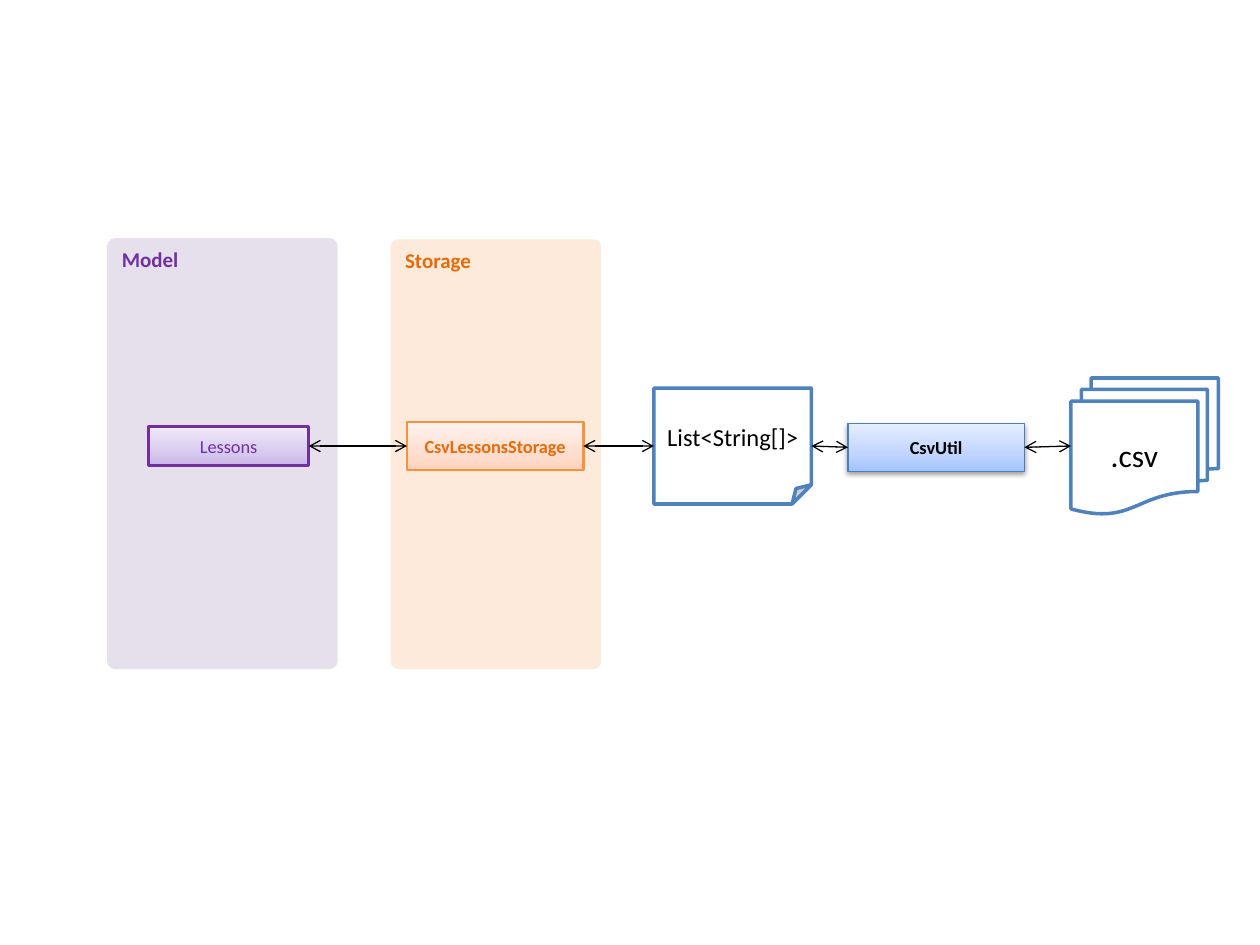
from lxml import etree
from pptx import Presentation
from pptx.dml.color import RGBColor
from pptx.enum.shapes import MSO_CONNECTOR, MSO_SHAPE
from pptx.enum.text import MSO_ANCHOR, PP_ALIGN
from pptx.oxml.ns import qn
from pptx.util import Inches, Pt

ROUNDED, RECT = MSO_SHAPE.ROUNDED_RECTANGLE, MSO_SHAPE.RECTANGLE
FOLDED, DOCUMENTS = MSO_SHAPE.FOLDED_CORNER, MSO_SHAPE.FLOWCHART_MULTIDOCUMENT
STRAIGHT = MSO_CONNECTOR.STRAIGHT
TOP, MIDDLE = MSO_ANCHOR.TOP, MSO_ANCHOR.MIDDLE
LEFT, CENTER = PP_ALIGN.LEFT, PP_ALIGN.CENTER
LEFT_SIDE, RIGHT_SIDE = 1, 3

THEME = {
    "font": "Calibri",
    "black": "000000", "white": "FFFFFF", "blue": "4F81BD", "util_line": "4B7EBC",
    "purple": "7030A0", "model_fill": "E6E0EC",
    "orange": "E46C0A", "storage_line": "F69240", "storage_fill": "FDEADA",
    "purple_fade": ("C9B5E8", "D8CBEE", "F0EAF9"),
    "orange_fade": ("FFD2BD", "FFDED0", "FFF2ED"),
    "blue_fade": ("A4C4FF", "BFD4FF", "E6EEFF"),
    "panel_size": 12, "class_size": 10.5, "list_size": 14, "file_size": 18,
}
FADE_STOPS = (0, 35, 100)

prs = Presentation()
prs.slide_width, prs.slide_height = Inches(10), Inches(7.5)
slide = prs.slides.add_slide(prs.slide_layouts[6])

# Grid of 100 columns and 75 rows; all components sit on one axis row
COLUMN, ROW = prs.slide_width / 100, prs.slide_height / 75
AXIS = 35.4


def add_part(kind, left, top, width, height, fill, line, line_width, label, size, color, bold, anchor, align):
    part = slide.shapes.add_shape(kind, round(left * COLUMN), round(top * ROW),
                                  round(width * COLUMN), round(height * ROW))
    part.shadow.inherit = False
    if isinstance(THEME[fill], tuple):
        part.fill.gradient()
        part.fill.gradient_angle = 90
        stops = part.element.spPr.find(qn("a:gradFill")).find(qn("a:gsLst"))
        stops.clear()
        for position, shade in zip(FADE_STOPS, THEME[fill]):
            stop = etree.SubElement(stops, qn("a:gs"), pos=str(position * 1000))
            etree.SubElement(stop, qn("a:srgbClr"), val=shade)
    else:
        part.fill.solid()
        part.fill.fore_color.rgb = RGBColor.from_string(THEME[fill])
    if line:
        part.line.color.rgb = RGBColor.from_string(THEME[line])
        part.line.width = Pt(line_width)
    else:
        part.line.fill.background()

    frame = part.text_frame
    frame.vertical_anchor, frame.word_wrap = anchor, False
    paragraph = frame.paragraphs[0]
    paragraph.alignment = align
    run = paragraph.add_run()
    run.text = label
    font_format = {"name": THEME["font"], "size": Pt(THEME[size]), "bold": bold}
    for attribute, value in font_format.items():
        setattr(run.font, attribute, value)
    run.font.color.rgb = RGBColor.from_string(THEME[color])
    return part


# Model and Storage panels
for left, top, width, height, fill, label, color in (
    (8.5, 18.9, 18.3, 34.2, "model_fill", "Model", "purple"),
    (31, 19, 16.7, 34.1, "storage_fill", "Storage", "orange"),
):
    panel = add_part(ROUNDED, left, top, width, height, fill, None, 0,
                     label, "panel_size", color, True, TOP, LEFT)
    panel.adjustments[0] = 0.035
    panel.text_frame.word_wrap = True

# Components from left to right, centred on the axis
chain = [
    add_part(kind, left, AXIS - height / 2, width, height, fill, line, line_width,
             label, size, color, bold, MIDDLE, CENTER)
    for kind, left, width, height, fill, line, line_width, label, size, color, bold in (
        (RECT, 11.8, 12.7, 3.1, "purple_fade", "purple", 1.5, "Lessons", "class_size", "purple", False),
        (RECT, 32.3, 14, 3.8, "orange_fade", "storage_line", 1.5,
         "CsvLessonsStorage", "class_size", "orange", True),
        (FOLDED, 51.9, 12.5, 9.2, "white", "blue", 2, "List<String[]>", "list_size", "black", False),
        (RECT, 67.3, 14, 3.8, "blue_fade", "util_line", 0.75, "CsvUtil", "class_size", "black", True),
        (DOCUMENTS, 85, 11.7, 10.8, "white", "blue", 2, ".csv", "file_size", "black", False),
    )
]

# Soft shadow under the utility class
csv_util = chain[3]
csv_util.top += round(0.1 * ROW)
shadow = etree.SubElement(csv_util.element.spPr.find(qn("a:effectLst")), qn("a:outerShdw"),
                          blurRad=str(Pt(3.1)), dist=str(Pt(1.6)), dir="5400000", rotWithShape="0")
shadow_color = etree.SubElement(shadow, qn("a:srgbClr"), val=THEME["black"])
etree.SubElement(shadow_color, qn("a:alpha"), val="38000")

# Two-way arrows between neighbours
for source, target in zip(chain, chain[1:]):
    arrow = slide.shapes.add_connector(STRAIGHT, 0, 0, 0, 0)
    arrow.begin_connect(source, RIGHT_SIDE)
    arrow.end_connect(target, LEFT_SIDE)
    arrow.line.color.rgb = RGBColor.from_string(THEME["black"])
    arrow.line.width = Pt(0.75)
    outline = arrow.line._get_or_add_ln()
    for end in ("a:headEnd", "a:tailEnd"):
        etree.SubElement(outline, qn(end), type="arrow")
    etree.SubElement(arrow.element.spPr, qn("a:effectLst"))

prs.save("out.pptx")
